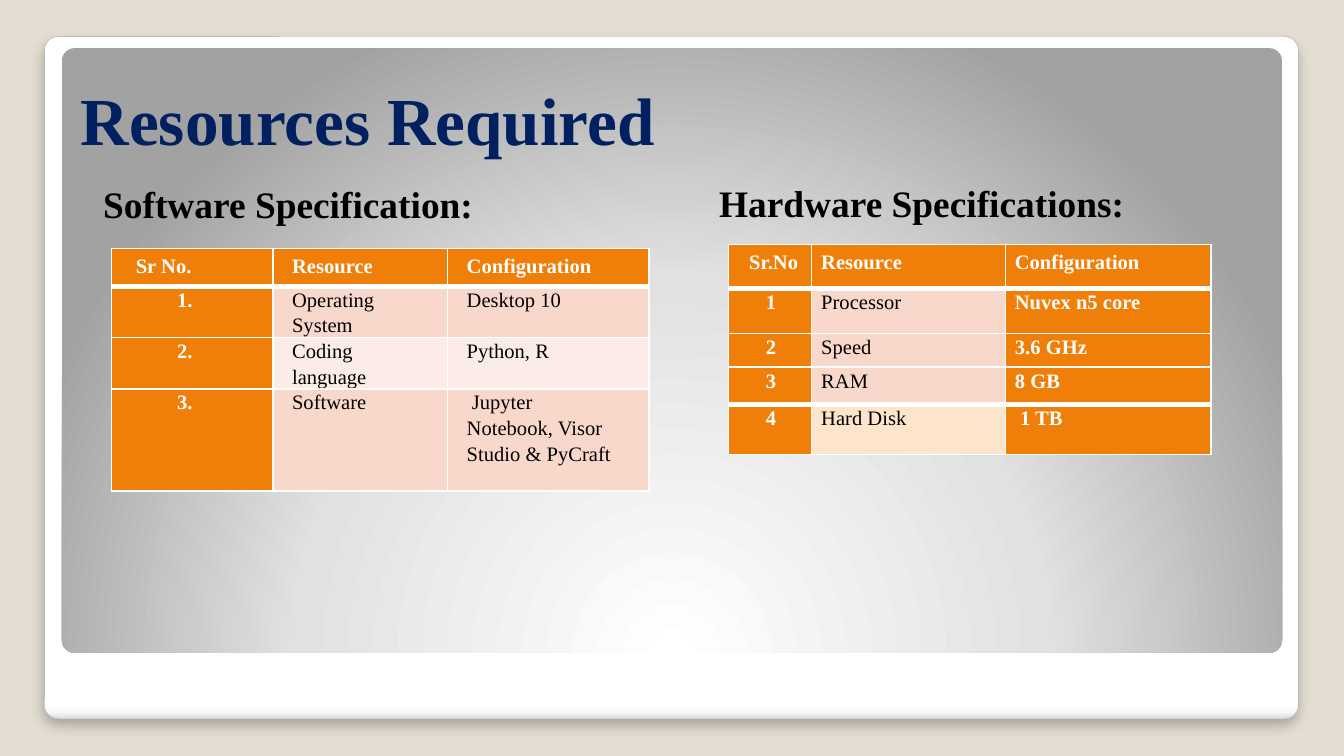
from dataclasses import dataclass

from lxml.etree import SubElement
from pptx import Presentation
from pptx.dml.color import RGBColor
from pptx.enum.shapes import MSO_SHAPE
from pptx.enum.text import MSO_ANCHOR, MSO_AUTO_SIZE, PP_ALIGN
from pptx.oxml import parse_xml
from pptx.oxml.ns import nsdecls, qn
from pptx.util import Cm, Pt

COLORS = {
    "background": "E3DED1", "white": "FFFFFF", "black": "000000",
    "navy": "002060", "outline": "A4A4A4", "orange": "F07F09",
    "rose": "F9D8CC", "pale": "FCECE7", "cream": "FDE5CD",
}
FONT = "Times New Roman"


@dataclass
class Panel:
    box: tuple
    stops: list
    direction: str
    framed: bool = False


@dataclass
class Heading:
    text: str
    box: tuple
    alignment: PP_ALIGN


@dataclass
class SpecTable:
    left: float
    top: float
    columns: list
    heights: list
    rows: list
    fills: list  # body colours per row, first column excluded
    margins: tuple  # left and right
    number_indents: tuple  # header and body
    thick_rules: set  # row boundaries drawn at 3 pt


PANELS = [
    Panel((0.84, 0.69, 23.7, 12.9),
          [(0, "FFFFFF"), (98, "FFFFFF"), (99, "F7F7F7"), (100, "DADADA")],
          '<a:lin ang="5400000" scaled="0"/>', framed=True),
    Panel((1.17, 0.91, 23.06, 11.43),
          [(0, "FFFFFF"), (55, "E1E1E1"), (100, "A2A2A2")],
          '<a:path path="circle"><a:fillToRect l="50000" t="175000" '
          'r="50000" b="-75000"/></a:path>'),
]
HEADINGS = [
    Heading("Software Specification:", (1.7, 3.18, 12.7, 1.17), PP_ALIGN.JUSTIFY),
    Heading("Hardware Specifications:", (13.34, 3.15, 12.06, 1.17), PP_ALIGN.LEFT),
]
TABLES = [
    SpecTable(
        2.11, 4.7, [3.05, 3.3, 3.81], [0.71, 0.97, 0.97, 1.93],
        [(" Sr No.", "Resource", "Configuration"),
         ("1.", "Operating System", "Desktop 10"),
         ("2.", "Coding language", "Python, R"),
         ("3.", "Software", " Jupyter Notebook, Visor Studio & PyCraft")],
        [("rose", "rose"), ("pale", "pale"), ("rose", "rose")],
        (0.18, 0.64), (0.18, 0.18), {1}),
    SpecTable(
        13.77, 4.62, [1.57, 3.66, 3.89], [0.84, 0.84, 0.64, 0.71, 0.94],
        [("Sr.No", "Resource", "Configuration"),
         ("1", "Processor", "Nuvex n5 core"),
         ("2", "Speed", "3.6 GHz"),
         ("3", "RAM", "8 GB"),
         ("4", "Hard Disk", " 1 TB")],
        [("rose", "orange")] * 3 + [("cream", "orange")],
        (0, 0), (0.13, 0.03), {1, 4}),
]


def rgb(name: str) -> RGBColor:
    return RGBColor.from_string(COLORS[name])


def apply_format(target, values: dict) -> None:
    for name, value in values.items():
        setattr(target, name, value)


def style_font(paragraph, size: float, color: str, bold: bool) -> None:
    font = paragraph.runs[0].font
    apply_format(font, {"name": FONT, "size": Pt(size), "bold": bold})
    font.color.rgb = rgb(color)


def draw_panel(slide, panel: Panel) -> None:
    shape = slide.shapes.add_shape(
        MSO_SHAPE.ROUNDED_RECTANGLE, *(Cm(value) for value in panel.box))
    shape.adjustments[0] = 0.021
    shape.shadow.inherit = False
    if panel.framed:
        shape.line.color.rgb = rgb("outline")
        shape.line.width = Pt(0.16)
        effects = shape._element.spPr.find(qn("a:effectLst"))
        effects.append(parse_xml(
            f'<a:outerShdw {nsdecls("a")} blurRad="{Pt(6)}" dist="{Pt(4)}" '
            'dir="5400000" algn="t" rotWithShape="0"><a:srgbClr val="000000">'
            '<a:alpha val="25000"/></a:srgbClr></a:outerShdw>'))
    else:
        shape.line.fill.background()
    stops = "".join(
        f'<a:gs pos="{position * 1000}"><a:srgbClr val="{color}"/></a:gs>'
        for position, color in panel.stops)
    geometry = shape._element.spPr.find(qn("a:prstGeom"))
    geometry.addnext(parse_xml(
        f'<a:gradFill {nsdecls("a")} rotWithShape="1"><a:gsLst>{stops}</a:gsLst>'
        f'{panel.direction}</a:gradFill>'))


def draw_title(slide, text: str) -> None:
    title = slide.shapes.title
    apply_format(title, {"left": Cm(1.27), "top": Cm(0.97),
                         "width": Cm(22.73), "height": Cm(2.18)})
    slide.shapes._spTree.append(title._element)  # in front of the panels
    frame = title.text_frame
    frame.text = text
    apply_format(frame, {"vertical_anchor": MSO_ANCHOR.BOTTOM, "word_wrap": True,
                         "auto_size": MSO_AUTO_SIZE.NONE})
    paragraph = frame.paragraphs[0]
    apply_format(paragraph, {"alignment": PP_ALIGN.LEFT, "line_spacing": 0.9})
    style_font(paragraph, 36, "navy", True)


def draw_heading(slide, heading: Heading) -> None:
    box = slide.shapes.add_textbox(*(Cm(value) for value in heading.box))
    frame = box.text_frame
    frame.text = heading.text
    apply_format(frame, {"word_wrap": True,
                         "auto_size": MSO_AUTO_SIZE.SHAPE_TO_FIT_TEXT})
    paragraph = frame.paragraphs[0]
    apply_format(paragraph, {"alignment": heading.alignment,
                             "line_spacing": 1.15, "space_after": Pt(10)})
    style_font(paragraph, 20, "black", True)


def draw_borders(cell, top: float, bottom: float) -> None:
    properties = cell._tc.get_or_add_tcPr()
    for tag, width in {"lnL": 1, "lnR": 1, "lnT": top, "lnB": bottom}.items():
        line = SubElement(properties, qn(f"a:{tag}"), w=str(Pt(width)))
        fill = SubElement(line, qn("a:solidFill"))
        SubElement(fill, qn("a:srgbClr"), val=COLORS["white"])


def draw_table(slide, spec: SpecTable) -> None:
    table = slide.shapes.add_table(
        len(spec.rows), len(spec.columns), Cm(spec.left), Cm(spec.top),
        Cm(sum(spec.columns)), Cm(sum(spec.heights))).table
    table.horz_banding = False
    for column, width in zip(table.columns, spec.columns):
        column.width = Cm(width)
    for row, height in zip(table.rows, spec.heights):
        row.height = Cm(height)
    left, right = spec.margins
    for row_index, texts in enumerate(spec.rows):
        header = row_index == 0
        top, bottom = (3 if rule in spec.thick_rules else 1
                       for rule in (row_index, row_index + 1))
        fills = ["orange"] * 3 if header else ["orange", *spec.fills[row_index - 1]]
        for column_index, (text, fill) in enumerate(zip(texts, fills)):
            cell = table.cell(row_index, column_index)
            cell.text = text
            apply_format(cell, {"margin_left": Cm(left), "margin_right": Cm(right),
                                "margin_top": 0, "margin_bottom": 0})
            draw_borders(cell, top, bottom)
            cell.fill.solid()
            cell.fill.fore_color.rgb = rgb(fill)
            paragraph = cell.text_frame.paragraphs[0]
            number = column_index == 0
            centered = number and text != " Sr No."
            apply_format(paragraph, {
                "alignment": PP_ALIGN.CENTER if centered else PP_ALIGN.LEFT,
                "line_spacing": Pt(15.9 if header else 13.7)})
            indent = spec.number_indents[0 if header else 1] if number else 0.18
            paragraph._p.get_or_add_pPr().set("marL", str(Cm(indent)))
            strong = fill == "orange"
            style_font(paragraph, 11, "white" if strong else "black", strong)


def main() -> None:
    presentation = Presentation()
    apply_format(presentation, {"slide_width": Cm(25.4), "slide_height": Cm(14.29)})
    slide = presentation.slides.add_slide(presentation.slide_layouts[5])
    slide.background.fill.solid()
    slide.background.fill.fore_color.rgb = rgb("background")
    for panel in PANELS:
        draw_panel(slide, panel)
    draw_title(slide, "Resources Required")
    for heading, spec in zip(HEADINGS, TABLES):
        draw_heading(slide, heading)
        draw_table(slide, spec)
    presentation.save("out.pptx")


if __name__ == "__main__":
    main()
